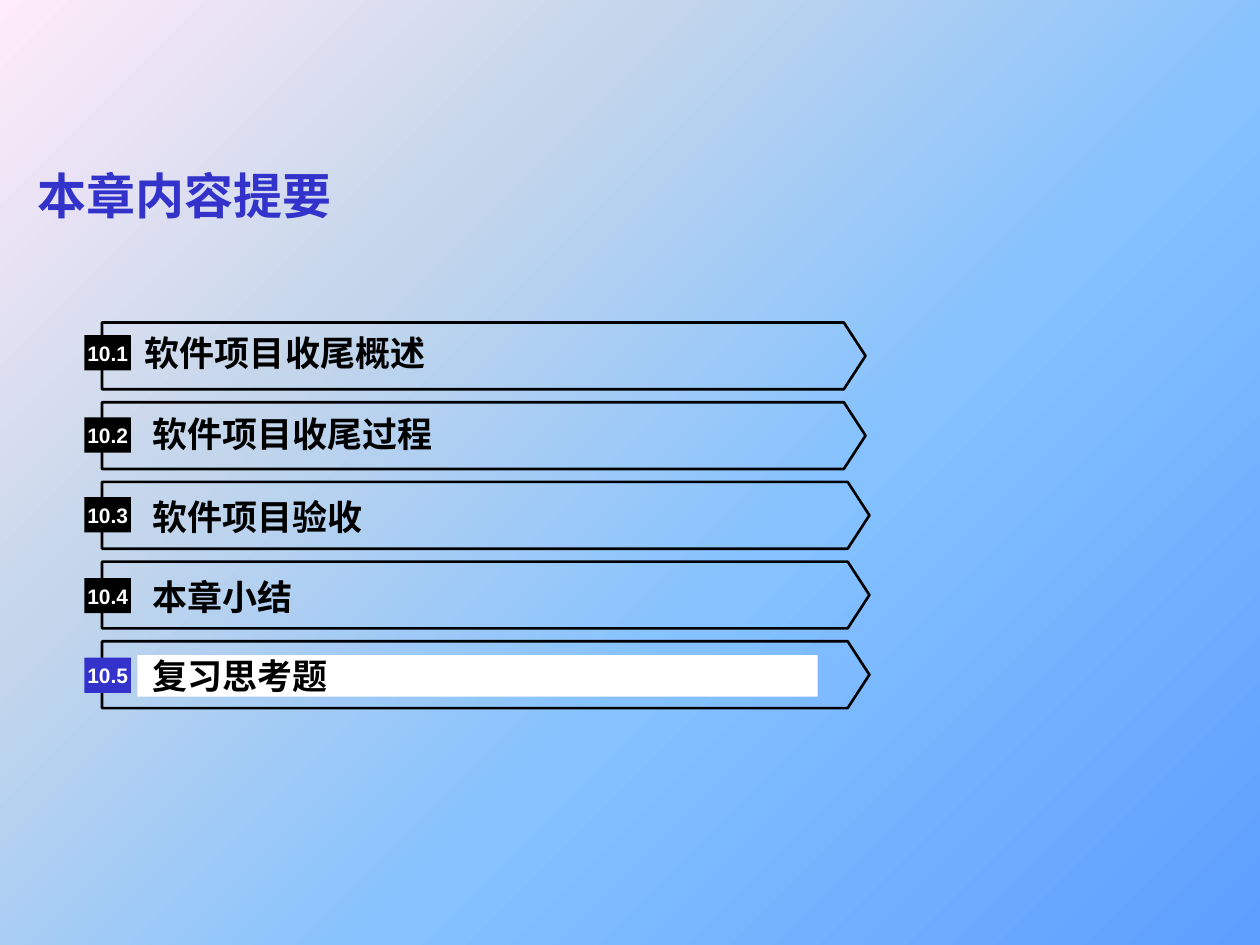
from lxml import etree
from pptx import Presentation, util as u
from pptx.dml.color import RGBColor
from pptx.enum import shapes, text
from pptx.oxml import ns

BLACK = RGBColor(0, 0, 0)
WHITE = RGBColor(255, 255, 255)
BLUE = RGBColor(0x33, 0x33, 0xCC)
SKY = [(0, RGBColor(0x5E, 0x9E, 0xFF)), (40, RGBColor(0x85, 0xC2, 0xFF)),
       (70, RGBColor(0xC4, 0xD6, 0xEB)), (100, RGBColor(0xFF, 0xEB, 0xFA))]
LATIN, HAN = "Arial", "Noto Sans CJK SC"
PITCH = 0.6325

# number, heading, body width, text indent, text drop, badge drop, badge colour
ROWS = [
    ("10.1", "软件项目收尾概述", 6.06, 0.06, 0.07, 0.10, BLACK),
    ("10.2", "软件项目收尾过程", 6.06, 0.12, 0.08, 0.12, BLACK),
    ("10.3", "软件项目验收", 6.09, 0.12, 0.11, 0.12, BLACK),
    ("10.4", "本章小结", 6.09, 0.12, 0.11, 0.13, BLACK),
    ("10.5", "复习思考题", 6.09, 0.12, 0.11, 0.13, BLUE),
]


def paint(slide):
    """Diagonal four-stop background."""
    fill = slide.background.fill
    fill.gradient()
    fill.gradient_angle = 135  # counter-clockwise measure
    stops = slide.background._cSld.find(".//" + ns.qn("a:gsLst"))
    for old in list(stops):
        stops.remove(old)
    for pos, tint in SKY:
        stop = etree.SubElement(stops, ns.qn("a:gs"), pos=str(pos * 1000))
        etree.SubElement(stop, ns.qn("a:srgbClr"), val=str(tint))


def write(shape, words, size, tint, left=0, align=text.PP_ALIGN.LEFT):
    frame = shape.text_frame
    frame.text = words
    frame.word_wrap = True
    frame.vertical_anchor = text.MSO_ANCHOR.MIDDLE
    frame.margin_left = u.Inches(left)
    frame.margin_right = frame.margin_top = frame.margin_bottom = 0
    para = frame.paragraphs[0]
    para.alignment = align
    font = para.runs[0].font
    font.name, font.size, font.bold = LATIN, u.Pt(size), True
    font.color.rgb = tint
    east = etree.SubElement(font._element, ns.qn("a:ea"))
    east.set("typeface", HAN)


def draw(group, kind, box, fill=None):
    shape = group.shapes.add_shape(kind, *map(u.Inches, box))
    shape.shadow.inherit = False
    if fill is None:
        shape.fill.background()
        shape.line.color.rgb = BLACK
        shape.line.width = u.Pt(1.5)
    else:
        shape.fill.solid()
        shape.fill.fore_color.rgb = fill
        shape.line.fill.background()
    return shape


def title(slide, box):
    write(slide.shapes.add_textbox(*map(u.Inches, box)),
          "本章内容提要", 28, BLUE, 0.1)


def entry(slide, x, y, row):
    """One arrow bar with its heading and number badge."""
    num, words, wide, dent, drop, fall, tint = row
    group = slide.shapes.add_group_shape()
    kinds = shapes.MSO_SHAPE
    bar = draw(group, kinds.PENTAGON, (x, y, wide, 0.53))
    bar.adjustments[0] = 0.325

    # Heading, on white for the current section
    box = (x + 0.28, y + drop, wide - 0.69, 0.33)
    if tint == BLUE:
        label = draw(group, kinds.RECTANGLE, box, WHITE)
    else:
        label = group.shapes.add_textbox(*map(u.Inches, box))
    write(label, words, 20, BLACK, dent)

    # Number badge
    badge = draw(group, kinds.RECTANGLE, (x - 0.14, y + fall, 0.37, 0.28), tint)
    write(badge, num, 12, WHITE, align=text.PP_ALIGN.CENTER)


def main():
    deck = Presentation()
    deck.slide_width, deck.slide_height = u.Inches(10), u.Inches(7.5)
    slide = deck.slides.add_slide(deck.slide_layouts[6])
    paint(slide)
    title(slide, (0.2, 1.15, 9.61, 0.79))
    for i, row in enumerate(ROWS):
        entry(slide, 0.81, 2.56 + i * PITCH, row)
    deck.save("out.pptx")


if __name__ == "__main__":
    main()
